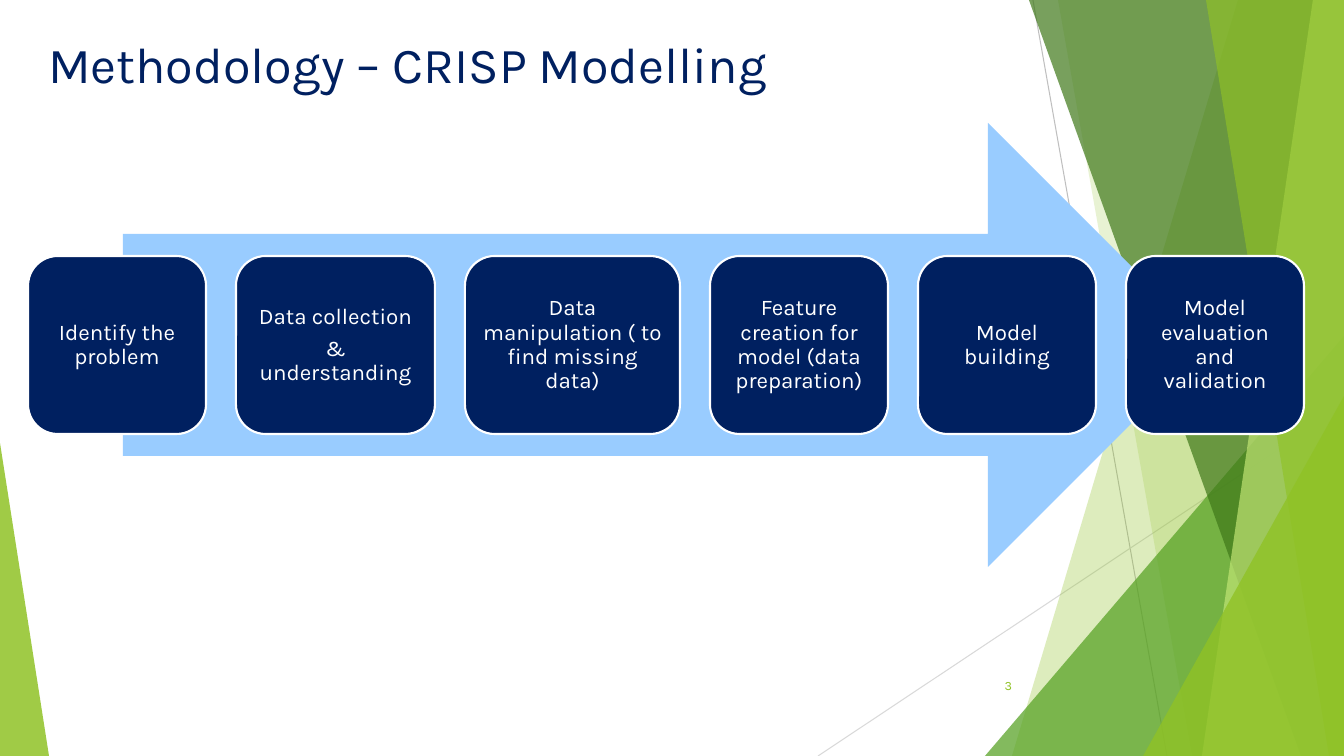
from lxml import etree
from pptx import Presentation
from pptx import util as u
from pptx.dml.color import RGBColor
from pptx.enum import shapes, text
from pptx.oxml import ns

SCALE = 914400 / 100.8  # EMU per pixel
WIDTH, HEIGHT = 1344, 756
FONT = "Karla"
COLORS = {
    "navy": "002060", "sky": "99CCFF", "white": "FFFFFF",
    "lime": "90C226", "pale": "C0E474", "green": "54A021", "forest": "3F7819",
    "gray": "BFBFBF", "light gray": "D9D9D9",
}
STEP_TOP, STEP_HEIGHT, STEP_LEFT, STEP_GAP = 256, 178, 28, 30
STEPS = [  # width, paragraphs
    (178, ["Identify the problem"]),
    (199, ["Data collection", "& understanding"]),
    (215, ["Data manipulation ( to find missing data)"]),
    (178, ["Feature creation for model (data preparation)"]),
    (178, ["Model building"]),
    (178, ["Model evaluation and validation"]),
]


def px(*lengths):
    """Turn pixels into EMU."""
    return [u.Emu(round(length * SCALE)) for length in lengths]


def color(name):
    """Look up a named colour."""
    return RGBColor.from_string(COLORS[name])


def paint(shape, name, opacity=100):
    """Give a shape a plain fill with no line or shadow."""
    shape.shadow.inherit = False
    shape.line.fill.background()
    shape.fill.solid()
    shape.fill.fore_color.rgb = color(name)
    if opacity < 100:
        fill = shape._element.spPr.find(ns.qn("a:solidFill"))
        etree.SubElement(fill[0], ns.qn("a:alpha"), val=str(opacity * 1000))


def write(frame, lines, size, name, align):
    """Fill a text frame with equally styled paragraphs."""
    frame.word_wrap = True
    for index, line in enumerate(lines):
        para = frame.add_paragraph() if index else frame.paragraphs[0]
        para.text = line
        para.alignment = align
        para.font.name = FONT
        para.font.size = u.Pt(size)
        para.font.color.rgb = color(name)


def add_thin_line(slide, start, end, name):
    """Draw a thin decorative line."""
    line = slide.shapes.add_connector(
        shapes.MSO_CONNECTOR.STRAIGHT, *px(*start, *end))
    line.line.color.rgb = color(name)
    line.line.width = u.Pt(0.75)
    etree.SubElement(line._element.spPr, ns.qn("a:effectLst"))


def add_facet(slide, top_x, bottom_x, name, opacity):
    """Draw a full-height facet from a slanted left edge to the slide's right."""
    builder = slide.shapes.build_freeform(top_x, 0, scale=SCALE)
    builder.add_line_segments([(WIDTH, 0), (WIDTH, HEIGHT), (bottom_x, HEIGHT)])
    paint(builder.convert_to_shape(), name, opacity)


def add_corner(slide, left, top, width, apex, name, opacity):
    """Draw a right triangle that stands on the bottom edge."""
    corner = slide.shapes.add_shape(
        shapes.MSO_SHAPE.ISOSCELES_TRIANGLE, *px(left, top, width, HEIGHT - top))
    corner.adjustments[0] = apex
    paint(corner, name, opacity)


def add_backdrop(slide):
    """Draw the green facets and thin lines, back to front."""
    add_thin_line(slide, (1033, 0), (1167, HEIGHT), "gray")
    add_thin_line(slide, (WIDTH, 406), (818, HEIGHT), "light gray")
    add_facet(slide, 1238, 1012, "lime", 30)
    add_facet(slide, 1058, 1192, "lime", 20)
    add_corner(slide, 985, 336, 359, 1, "green", 72)
    add_facet(slide, 1029, 1301, "forest", 70)
    add_facet(slide, 1313, 1202, "pale", 70)
    add_facet(slide, 1206, 1329, "lime", 65)
    add_corner(slide, 1143, 396, 201, 1, "lime", 80)
    add_corner(slide, 0, 443, 49, 0, "lime", 85)


def set_title(slide, wording):
    """Place and format the title, in front of the backdrop."""
    title = slide.shapes.title
    title.left, title.top, title.width, title.height = px(38, 28, 1159, 94)
    write(title.text_frame, [wording], 36, "navy", text.PP_ALIGN.LEFT)
    title.text_frame.vertical_anchor = text.MSO_ANCHOR.TOP
    slide.shapes._spTree.append(title._element)


def add_step(slide, left, width, lines):
    """Draw one rounded process step with its label."""
    step = slide.shapes.add_shape(
        shapes.MSO_SHAPE.ROUNDED_RECTANGLE,
        *px(left, STEP_TOP, width, STEP_HEIGHT))
    paint(step, "navy")
    step.line.color.rgb = color("white")
    step.line.width = u.Pt(1.5)
    frame = step.text_frame
    frame.margin_left, frame.margin_top, frame.margin_right, frame.margin_bottom = px(7, 7, 7, 7)
    frame.vertical_anchor = text.MSO_ANCHOR.MIDDLE
    write(frame, lines, 16, "white", text.PP_ALIGN.CENTER)
    for para in frame.paragraphs:
        para.line_spacing = 0.9
        para.space_after = u.Pt(5.6)


def add_process(slide):
    """Draw the broad arrow and the steps along it."""
    arrow = slide.shapes.add_shape(
        shapes.MSO_SHAPE.RIGHT_ARROW, *px(123, 123, 1087, 444))
    paint(arrow, "sky")
    left = STEP_LEFT
    for width, lines in STEPS:
        add_step(slide, left, width, lines)
        left += width + STEP_GAP


def add_page_number(slide, number):
    """Write the page number."""
    box = slide.shapes.add_textbox(*px(946, 666, 76, 40))
    box.text_frame.vertical_anchor = text.MSO_ANCHOR.MIDDLE
    write(box.text_frame, [number], 9, "lime", text.PP_ALIGN.RIGHT)


def main():
    """Build and save the deck."""
    deck = Presentation()
    deck.slide_width, deck.slide_height = px(WIDTH, HEIGHT)
    slide = deck.slides.add_slide(deck.slide_layouts.get_by_name("Title Only"))
    add_backdrop(slide)
    set_title(slide, "Methodology – CRISP Modelling")
    add_process(slide)
    add_page_number(slide, "3")
    deck.save("out.pptx")


main()
